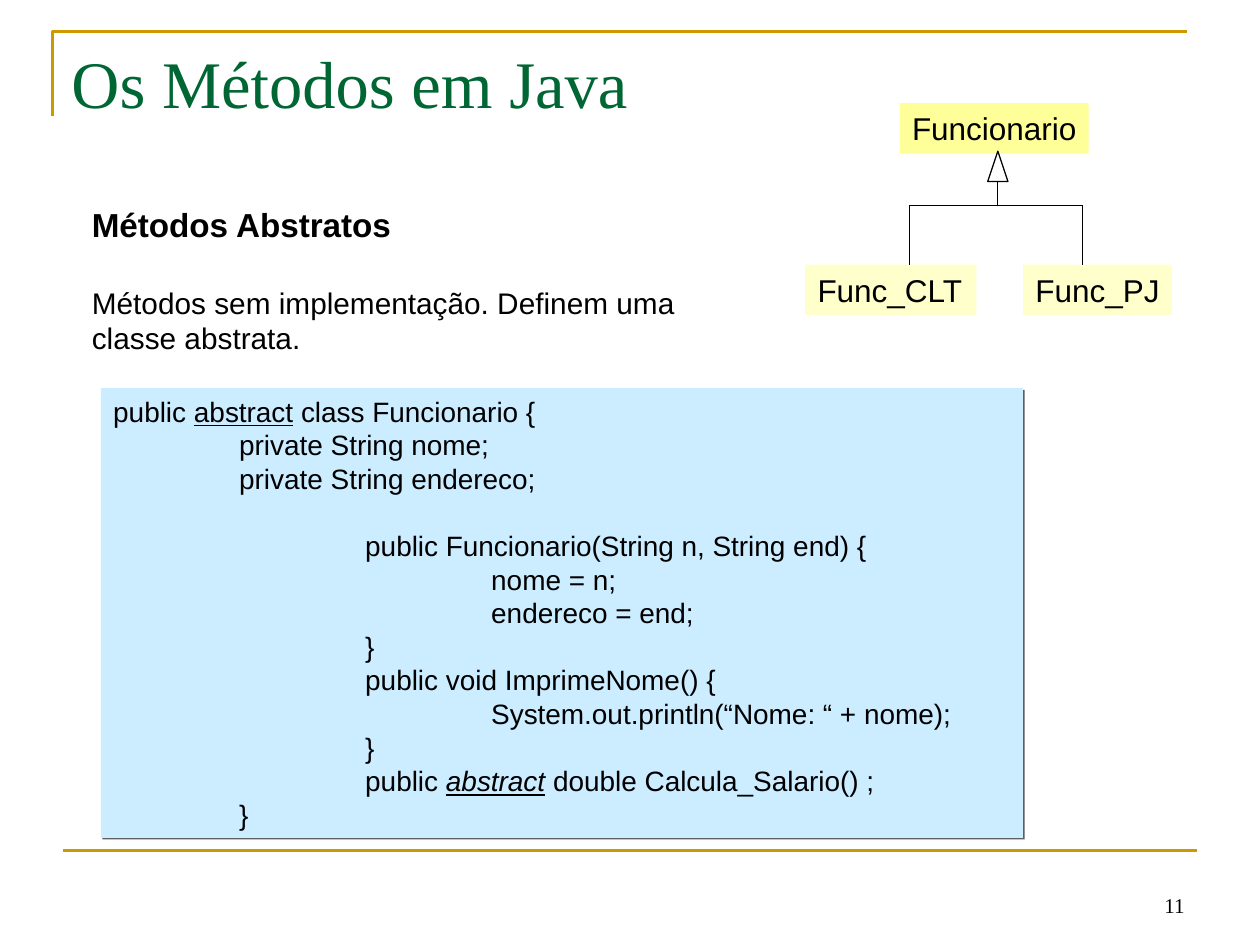
from lxml import etree
from pptx import Presentation
from pptx import util as u
from pptx.dml.color import RGBColor
from pptx.enum import shapes, text
from pptx.oxml.ns import qn

Pt = u.Pt
THEME = {
    "gold": "CC9900", "green": "006633", "ink": "000000", "paper": "FFFFFF",
    "code": "CCECFF", "parent": "FFFF99", "child": "FFFFCC", "shadow": "5F5F5F",
    "sans": "Arial", "serif": "Times New Roman",
    "title_size": 38, "heading_size": 19, "body_size": 17,
    "code_size": 16, "class_size": 18, "number_size": 12,
    "rule": 1.5, "thin": 0.75,
}
TITLE = "Os Métodos em Java"
NUMBER = "11"
BODY = [
    ("Métodos Abstratos", "heading_size", True, 4.8),
    ("Métodos sem implementação. Definem uma", "body_size", False, 27.2),
    ("classe abstrata.", "body_size", False, 4.2),
]
UNDERLINED = {"underline": True}
EMPHASIS = {"underline": True, "italic": True}
CODE = [
    (0, [("public ", {}), ("abstract", UNDERLINED), (" class Funcionario {", {})]),
    (1, [("private String nome;", {})]),
    (1, [("private String endereco;", {})]),
    (2, [("public Funcionario(String n, String end) {", {})]),
    (3, [("nome = n;", {})]),
    (3, [("endereco = end;", {})]),
    (2, [("}", {})]),
    (2, [("public void ImprimeNome() {", {})]),
    (3, [("System.out.println(“Nome: “ + nome);", {})]),
    (2, [("}", {})]),
    (2, [("public ", {}), ("abstract", EMPHASIS), (" double Calcula_Salario() ;", {})]),
    (1, [("}", {})]),
]
CONSTRUCTOR_LINE = 3
CODE_PITCH = 19.2
CODE_INDENT = 72
CLASSES = [
    ("Funcionario", "parent", (514.1, 59, 108, 28.8)),
    ("Func_CLT", "child", (460.1, 151.2, 97.9, 28.8)),
    ("Func_PJ", "child", (584.6, 151.2, 85, 28.8)),
]
BRANCHES = (519.8, 618.5)
STEM, BAR, PARENT_BASE, CHILD_TOP = 570.2, 117.4, 86.4, 151.2
ARROW_WIDTH, ARROW_HEIGHT = 11.5, 17.3

prs = Presentation()
prs.slide_width, prs.slide_height = Pt(720), Pt(540)
slide = prs.slides.add_slide(prs.slide_layouts[6])


def color(name):
    return RGBColor.from_string(THEME[name])


def pen(line, ink, width):
    line.color.rgb = color(ink)
    line.width = Pt(THEME[width])


def rule(start, end, ink="ink", width="thin"):
    connector = slide.shapes.add_connector(
        shapes.MSO_CONNECTOR.STRAIGHT, *map(Pt, start + end))
    pen(connector.line, ink, width)
    etree.SubElement(connector._element.spPr, qn("a:effectLst"))


def panel(preset, box, fill, outlined=False):
    shape = slide.shapes.add_shape(preset, *map(Pt, box))
    shape.shadow.inherit = False
    shape.fill.solid()
    shape.fill.fore_color.rgb = color(fill)
    if outlined:
        pen(shape.line, "ink", "thin")
    else:
        shape.line.fill.background()
    return shape


def prepare(shape, wrap=True, anchor=text.MSO_ANCHOR.TOP):
    frame = shape.text_frame
    frame.word_wrap, frame.vertical_anchor = wrap, anchor
    return frame


def textbox(box, **options):
    return prepare(slide.shapes.add_textbox(*map(Pt, box)), **options)


def write(frame, index, runs, size, face="sans", ink="ink", **layout):
    paragraph = frame.paragraphs[0] if index == 0 else frame.add_paragraph()
    for key, value in {"alignment": text.PP_ALIGN.LEFT, **layout}.items():
        setattr(paragraph, key, value)
    for words, style in runs:
        run = paragraph.add_run()
        run.text = words
        look = {"name": THEME[face], "size": Pt(THEME[size]), **style}
        for key, value in look.items():
            setattr(run.font, key, value)
        run.font.color.rgb = color(ink)
    return paragraph


corner = slide.shapes.build_freeform(Pt(30.2), Pt(66.2))
corner.add_line_segments([(Pt(30.2), Pt(18)), (Pt(678.2), Pt(18))], close=False)
frame_line = corner.convert_to_shape()
frame_line.shadow.inherit = False
frame_line.fill.background()
pen(frame_line.line, "gold", "rule")
rule((36, 486), (684, 486), "gold", "rule")

write(textbox((516.2, 491.8, 167.8, 36), anchor=text.MSO_ANCHOR.BOTTOM), 0,
      [(NUMBER, {})], "number_size", "serif", alignment=text.PP_ALIGN.RIGHT)
write(textbox((33.8, 20.2, 648, 49.7)), 0, [(TITLE, {})], "title_size", "serif", "green")

body = textbox((45.4, 117.4, 408.2, 127.4))
for index, (words, size, bold, gap) in enumerate(BODY):
    write(body, index, [(words, {"bold": bold})], size,
          line_spacing=0.8, space_before=Pt(gap))

listing = panel(shapes.MSO_SHAPE.RECTANGLE, (57.6, 221.8, 527, 257), "code")
effects = listing._element.spPr.find(qn("a:effectLst"))
shadow = etree.SubElement(effects, qn("a:outerShdw"), dist=str(Pt(1.4)),
                          dir="2700000", algn="ctr", rotWithShape="0")
etree.SubElement(shadow, qn("a:srgbClr"), val=THEME["shadow"])
code = prepare(listing)
for index, (level, runs) in enumerate(CODE):
    gap = CODE_PITCH if index == CONSTRUCTOR_LINE else 0
    line = write(code, index, runs, "code_size",
                 line_spacing=Pt(CODE_PITCH), space_before=Pt(gap))
    line._p.get_or_add_pPr().set("marL", str(Pt(level * CODE_INDENT)))

for name, fill, box in CLASSES:
    label = prepare(panel(shapes.MSO_SHAPE.RECTANGLE, box, fill), wrap=False)
    write(label, 0, [(name, {})], "class_size")

rule((BRANCHES[0], BAR), (BRANCHES[1], BAR))
rule((STEM, BAR), (STEM, PARENT_BASE))
for branch in BRANCHES:
    rule((branch, BAR), (branch, CHILD_TOP))
panel(shapes.MSO_SHAPE.ISOSCELES_TRIANGLE,
      (STEM - ARROW_WIDTH / 2, PARENT_BASE, ARROW_WIDTH, ARROW_HEIGHT), "paper", True)

prs.save("out.pptx")
